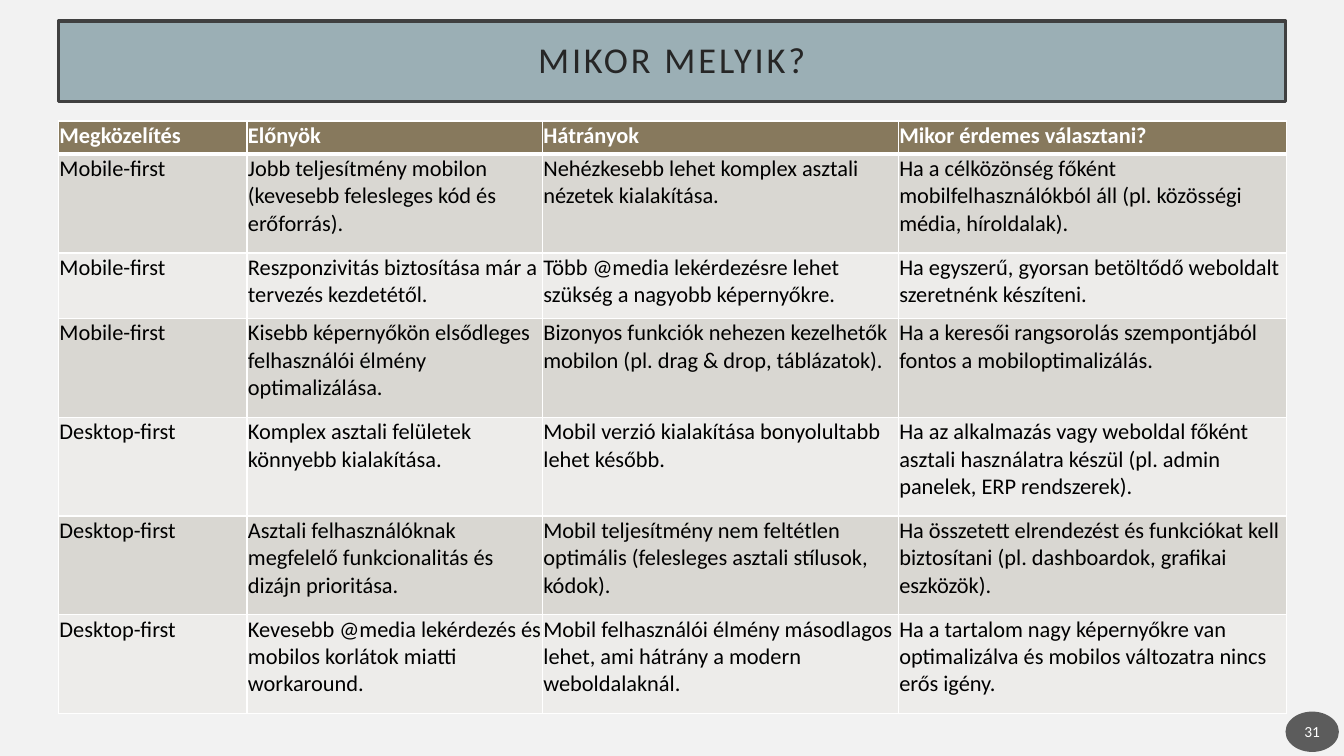
from lxml.etree import SubElement
from pptx import Presentation
from pptx.dml.color import RGBColor
from pptx.enum.shapes import MSO_SHAPE
from pptx.enum.text import MSO_ANCHOR, PP_ALIGN
from pptx.oxml.ns import qn
from pptx.util import Inches, Pt

# Content
TITLE = "MIKOR MELYIK?"
PAGE_NUMBER = "31"
HEADINGS = ("Megközelítés", "Előnyök", "Hátrányok", "Mikor érdemes választani?")
APPROACHES = [
    ("Mobile-first",
     "Jobb teljesítmény mobilon (kevesebb felesleges kód és erőforrás).",
     "Nehézkesebb lehet komplex asztali nézetek kialakítása.",
     "Ha a célközönség főként mobilfelhasználókból áll (pl. közösségi média, híroldalak)."),
    ("Mobile-first",
     "Reszponzivitás biztosítása már a tervezés kezdetétől.",
     "Több @media lekérdezésre lehet szükség a nagyobb képernyőkre.",
     "Ha egyszerű, gyorsan betöltődő weboldalt szeretnénk készíteni."),
    ("Mobile-first",
     "Kisebb képernyőkön elsődleges felhasználói élmény optimalizálása.",
     "Bizonyos funkciók nehezen kezelhetők mobilon (pl. drag & drop, táblázatok).",
     "Ha a keresői rangsorolás szempontjából fontos a mobiloptimalizálás."),
    ("Desktop-first",
     "Komplex asztali felületek könnyebb kialakítása.",
     "Mobil verzió kialakítása bonyolultabb lehet később.",
     "Ha az alkalmazás vagy weboldal főként asztali használatra készül "
     "(pl. admin panelek, ERP rendszerek)."),
    ("Desktop-first",
     "Asztali felhasználóknak megfelelő funkcionalitás és dizájn prioritása.",
     "Mobil teljesítmény nem feltétlen optimális (felesleges asztali stílusok, kódok).",
     "Ha összetett elrendezést és funkciókat kell biztosítani "
     "(pl. dashboardok, grafikai eszközök)."),
    ("Desktop-first",
     "Kevesebb @media lekérdezés és mobilos korlátok miatti workaround.",
     "Mobil felhasználói élmény másodlagos lehet, ami hátrány a modern weboldalaknál.",
     "Ha a tartalom nagy képernyőkre van optimalizálva és mobilos változatra "
     "nincs erős igény."),
]
COLUMN_WIDTHS = (1.87, 2.93, 3.53, 3.85)
HEADING_HEIGHT, TWO_LINE_HEIGHT, THREE_LINE_HEIGHT = 0.33, 0.65, 0.98
ROW_HEIGHTS = [HEADING_HEIGHT, THREE_LINE_HEIGHT, TWO_LINE_HEIGHT] + [THREE_LINE_HEIGHT] * 4

THEME = {
    "font": "Calibri", "title_size": 26, "table_size": 16, "number_size": 11,
    "background": "F2F2F2", "banner": "9BAFB5", "frame": "404040", "title": "262626",
    "heading": "87795D", "bands": ("D9D7D2", "EDECEA"), "body": "000000",
    "white": "FFFFFF", "badge": "1D1D1D",
}


def color(name):
    return RGBColor.from_string(THEME.get(name, name))


def style(paragraph, size, ink, bold=False):
    font = paragraph.font
    font.name, font.size, font.bold = THEME["font"], Pt(THEME[size]), bold
    font.color.rgb = color(ink)


def set_margins(target, left, top, right, bottom):
    target.margin_left, target.margin_right = Inches(left), Inches(right)
    target.margin_top, target.margin_bottom = Inches(top), Inches(bottom)


def add_label(slide, preset, box, fill, text, size, ink, margins):
    label = slide.shapes.add_shape(preset, *map(Inches, box))
    label.shadow.inherit = False
    label.fill.solid()
    label.fill.fore_color.rgb = color(fill)
    label.line.fill.background()
    frame = label.text_frame
    frame.word_wrap = True
    frame.vertical_anchor = MSO_ANCHOR.MIDDLE
    set_margins(frame, *margins)
    paragraph = frame.paragraphs[0]
    paragraph.text = text
    paragraph.alignment = PP_ALIGN.CENTER
    style(paragraph, size, ink)
    return label


def add_borders(cell, row):
    widths = {"lnL": 1, "lnR": 1, "lnT": 3 if row == 1 else 1, "lnB": 3 if row == 0 else 1}
    properties = cell._tc.get_or_add_tcPr()
    for side, width in widths.items():
        line = SubElement(properties, qn(f"a:{side}"), w=str(Pt(width)))
        fill = SubElement(line, qn("a:solidFill"))
        SubElement(fill, qn("a:srgbClr"), val=THEME["white"])


def add_comparison(slide):
    rows = [HEADINGS, *APPROACHES]
    table = slide.shapes.add_table(
        len(rows), len(HEADINGS), Inches(0.58), Inches(1.2),
        Inches(sum(COLUMN_WIDTHS)), Inches(sum(ROW_HEIGHTS))).table
    for column, width in zip(table.columns, COLUMN_WIDTHS):
        column.width = Inches(width)
    for r, (texts, height) in enumerate(zip(rows, ROW_HEIGHTS)):
        table.rows[r].height = Inches(height)
        heading = r == 0
        for c, text in enumerate(texts):
            cell = table.cell(r, c)
            add_borders(cell, r)
            cell.fill.solid()
            cell.fill.fore_color.rgb = color("heading" if heading else THEME["bands"][(r - 1) % 2])
            set_margins(cell, 0.01, 0.01, 0.01, 0)
            paragraph = cell.text_frame.paragraphs[0]
            paragraph.text = text
            style(paragraph, "table_size", "white" if heading else "body", heading)


def main():
    deck = Presentation()
    deck.slide_width, deck.slide_height = Inches(13.33), Inches(7.5)
    slide = deck.slides.add_slide(deck.slide_layouts[6])
    slide.background.fill.solid()
    slide.background.fill.fore_color.rgb = color("background")

    # Title banner
    banner = add_label(slide, MSO_SHAPE.RECTANGLE, (0.58, 0.21, 12.17, 0.8), "banner",
                       TITLE, "title_size", "title", (0.2, 0.2, 0.2, 0.2))
    banner.line.color.rgb = color("frame")
    banner.line.width = Pt(2.5)
    title = banner.text_frame.paragraphs[0]
    title.line_spacing = 0.9
    title.runs[0].font._element.set("spc", "200")

    # Page number badge
    badge = add_label(slide, MSO_SHAPE.OVAL, (12.75, 7.06, 0.53, 0.4), "badge",
                      PAGE_NUMBER, "number_size", "white", (0.02, 0.05, 0.02, 0.05))
    badge_color = badge._element.spPr.find(qn("a:solidFill")).find(qn("a:srgbClr"))
    SubElement(badge_color, qn("a:alpha"), val="70000")

    # Comparison table
    add_comparison(slide)
    deck.save("out.pptx")


if __name__ == "__main__":
    main()
